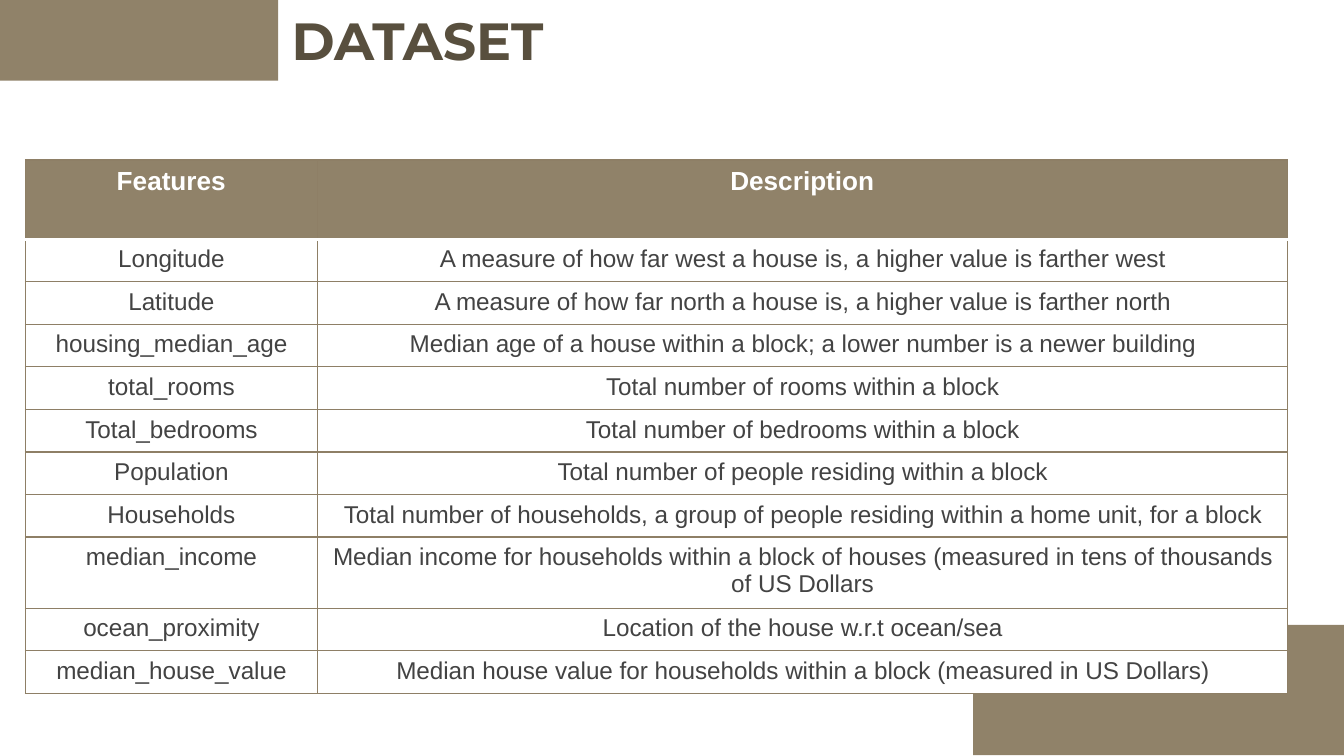
from lxml import etree
from pptx import Presentation
from pptx.dml.color import RGBColor
from pptx.enum.shapes import MSO_SHAPE
from pptx.enum.text import MSO_ANCHOR, PP_ALIGN
from pptx.oxml.ns import qn
from pptx.util import Inches, Pt

RECTANGLE = MSO_SHAPE.RECTANGLE
TOP = MSO_ANCHOR.TOP
LEFT, CENTER = PP_ALIGN.LEFT, PP_ALIGN.CENTER

TAUPE = RGBColor(0x90, 0x82, 0x69)
BORDER = RGBColor(0x8E, 0x7F, 0x66)
BROWN = RGBColor(0x58, 0x4F, 0x3E)
GRAY = RGBColor(0x43, 0x43, 0x43)
WHITE = RGBColor(0xFF, 0xFF, 0xFF)

SLIDE_WIDTH = Inches(10)
SLIDE_HEIGHT = SLIDE_WIDTH * 9 // 16

TITLE = "DATASET"
HEADER = ("Features", "Description")
FEATURES = [
    ("Longitude", "A measure of how far west a house is, a higher value is farther west"),
    ("Latitude", "A measure of how far north a house is, a higher value is farther north"),
    ("housing_median_age", "Median age of a house within a block; a lower number is a newer building"),
    ("total_rooms", "Total number of rooms within a block"),
    ("Total_bedrooms", "Total number of bedrooms within a block"),
    ("Population", "Total number of people residing within a block"),
    ("Households", "Total number of households, a group of people residing within a home unit, for a block"),
    ("median_income", "Median income for households within a block of houses "
                      "(measured in tens of thousands of US Dollars"),
    ("ocean_proximity", "Location of the house w.r.t ocean/sea"),
    ("median_house_value", "Median house value for households within a block (measured in US Dollars)"),
]
BLOCKS = [(0, 0, 2.07, 0.6), (7.24, 4.65, 2.76, 0.97)]
COLUMN_WIDTHS = (2.17, 7.22)
TABLE_HEIGHT, HEADER_HEIGHT, TALL_HEIGHT = 3.97, 0.59, 0.53
TALL_FEATURE = "median_income"


def style_text(frame, font_name, size, color, bold, alignment):
    for para in frame.paragraphs:
        para.alignment = alignment
        for span in para.runs:
            span.font.name = font_name
            span.font.size = Pt(size)
            span.font.bold = bold
            span.font.color.rgb = color


def set_borders(cell, edges):
    properties = cell._tc.get_or_add_tcPr()
    for position, (edge, (color, width)) in enumerate(edges.items()):
        line = etree.Element(qn(f"a:{edge}"), w=str(Pt(width)))
        fill = etree.SubElement(line, qn("a:solidFill"))
        etree.SubElement(fill, qn("a:srgbClr"), val=str(color))
        properties.insert(position, line)


def add_block(slide, left, top, width, height):
    block = slide.shapes.add_shape(
        RECTANGLE, Inches(left), Inches(top), Inches(width), Inches(height))
    block.shadow.inherit = False
    block.fill.solid()
    block.fill.fore_color.rgb = TAUPE
    block.line.fill.background()


def add_title(slide):
    title = slide.shapes.title
    title.left, title.top = Inches(2.07), Inches(0.01)
    title.width, title.height = Inches(2.13), Inches(0.57)
    frame = title.text_frame
    frame.text = TITLE
    frame.word_wrap = False
    frame.vertical_anchor = TOP
    style_text(frame, "Montserrat", 28, BROWN, True, LEFT)


def add_feature_table(slide):
    rows = [HEADER] + FEATURES
    table = slide.shapes.add_table(
        len(rows), len(HEADER), Inches(0.19), Inches(1.19),
        Inches(sum(COLUMN_WIDTHS)), Inches(TABLE_HEIGHT)).table
    for column, width in zip(table.columns, COLUMN_WIDTHS):
        column.width = Inches(width)
    row_height = (TABLE_HEIGHT - HEADER_HEIGHT - TALL_HEIGHT) / (len(FEATURES) - 1)
    special_heights = {HEADER[0]: HEADER_HEIGHT, TALL_FEATURE: TALL_HEIGHT}
    for row_index, texts in enumerate(rows):
        is_header = row_index == 0
        table.rows[row_index].height = Inches(special_heights.get(texts[0], row_height))
        edges = dict.fromkeys(("lnL", "lnR", "lnT", "lnB"), (BORDER, 0.75))
        if is_header:
            edges["lnB"] = (WHITE, 2)
        elif row_index == 1:
            edges["lnT"] = (WHITE, 2)
        for column_index, text in enumerate(texts):
            cell = table.cell(row_index, column_index)
            cell.text_frame.text = text
            cell.fill.solid()
            cell.fill.fore_color.rgb = TAUPE if is_header else WHITE
            style_text(cell.text_frame, "Arial", 14 if is_header else 13,
                       WHITE if is_header else GRAY, is_header, CENTER)
            set_borders(cell, edges)


def main():
    deck = Presentation()
    deck.slide_width, deck.slide_height = SLIDE_WIDTH, SLIDE_HEIGHT
    page = deck.slides.add_slide(deck.slide_layouts[5])
    for block in BLOCKS:
        add_block(page, *block)
    add_title(page)
    add_feature_table(page)
    deck.save("out.pptx")


if __name__ == "__main__":
    main()
